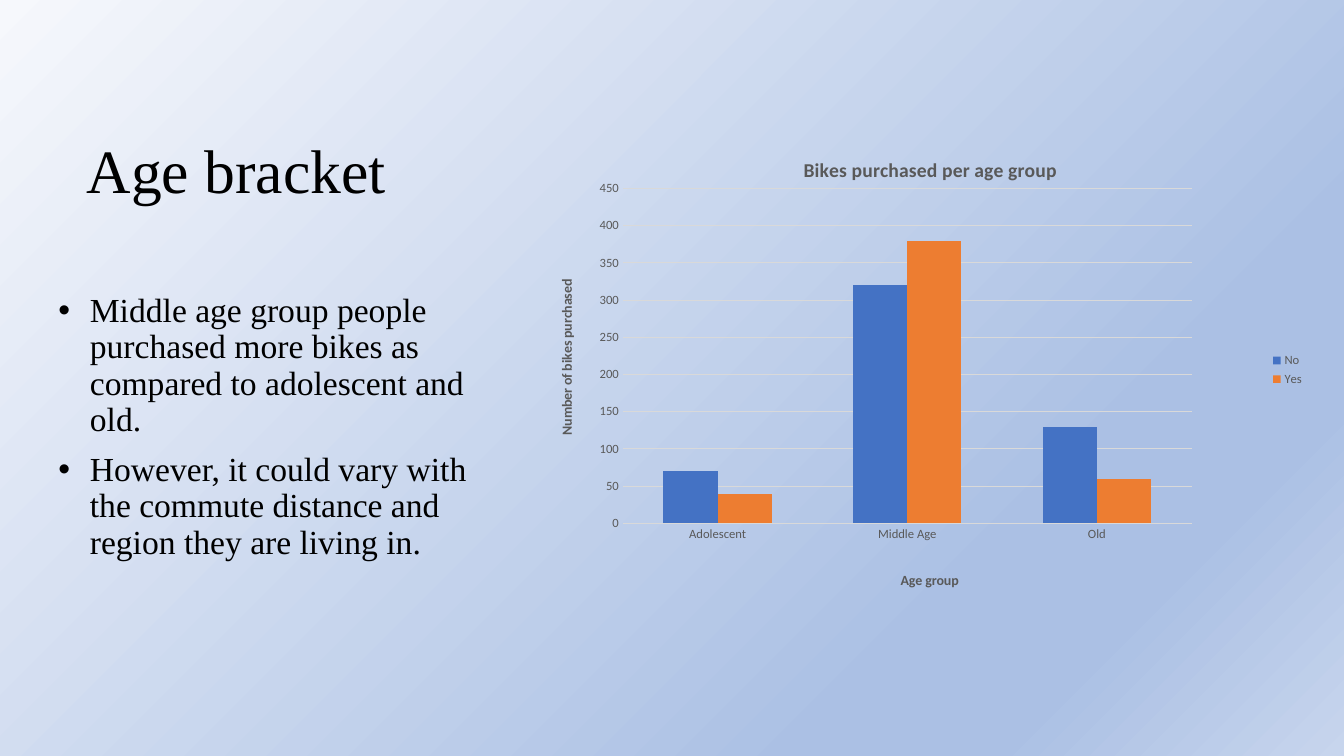
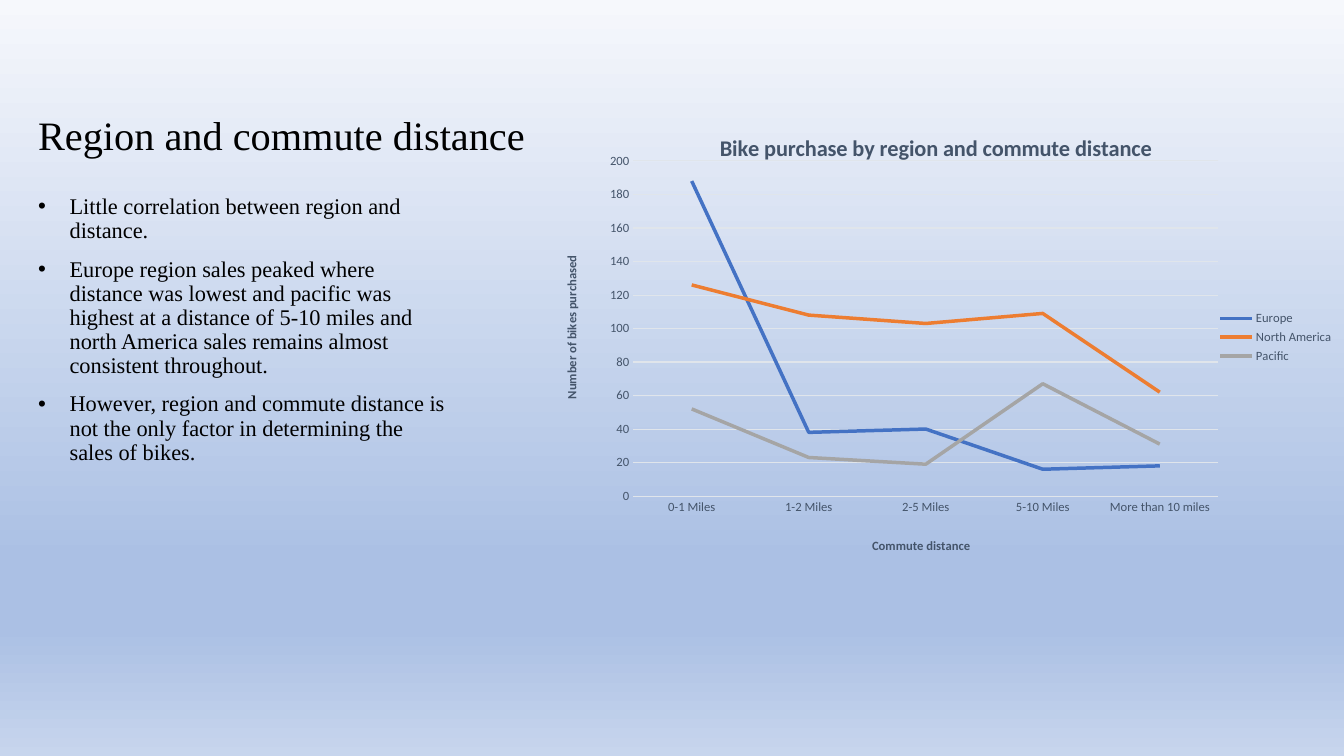
from lxml import etree
from pptx import Presentation
from pptx.chart.data import CategoryChartData
from pptx.dml.color import RGBColor
from pptx.enum.chart import XL_CHART_TYPE, XL_LEGEND_POSITION, XL_MARKER_STYLE, XL_TICK_MARK
from pptx.enum.text import MSO_ANCHOR, MSO_AUTO_SIZE, PP_ALIGN
from pptx.oxml.ns import qn
from pptx.util import Pt

COLUMN, LINE = XL_CHART_TYPE.COLUMN_CLUSTERED, XL_CHART_TYPE.LINE
LEGEND_RIGHT = XL_LEGEND_POSITION.RIGHT
NO_MARKER = XL_MARKER_STYLE.NONE
NO_TICK = XL_TICK_MARK.NONE
ANCHOR_TOP, ANCHOR_BOTTOM = MSO_ANCHOR.TOP, MSO_ANCHOR.BOTTOM
FIXED_SIZE = MSO_AUTO_SIZE.NONE
LEFT = PP_ALIGN.LEFT

BLACK = RGBColor(0x00, 0x00, 0x00)
GRAY = RGBColor(0x59, 0x59, 0x59)
SLATE = RGBColor(0x44, 0x54, 0x6A)
GRID_GRAY = RGBColor(0xD9, 0xD9, 0xD9)
GRID_BLUE = RGBColor(0xE0, 0xE5, 0xEB)
SERIES_COLORS = (
    RGBColor(0x44, 0x72, 0xC4),
    RGBColor(0xED, 0x7D, 0x31),
    RGBColor(0xA5, 0xA5, 0xA5),
)
BACKGROUND_STOPS = (
    (0, RGBColor(0xF6, 0xF8, 0xFC)),
    (74, RGBColor(0xAB, 0xC0, 0xE4)),
    (83, RGBColor(0xAB, 0xC0, 0xE4)),
    (100, RGBColor(0xC7, 0xD5, 0xED)),
)
TEXT_FONT, CHART_FONT = "Times New Roman", "Calibri"
BULLET_INDENT = Pt(22.5)


def set_font(font, size, color, name, bold=False):
    font.size, font.name, font.bold = Pt(size), name, bold
    font.color.rgb = color


def write_text(paragraph, text, size, color=BLACK, font=TEXT_FONT, bold=False,
               alignment=None, line_spacing=None, space_before=None, bullet=None):
    run = paragraph.add_run()
    run.text = text
    set_font(run.font, size, color, font, bold)
    if alignment is not None:
        paragraph.alignment = alignment
    if line_spacing is not None:
        paragraph.line_spacing = line_spacing
    if space_before is not None:
        paragraph.space_before = Pt(space_before)
    if bullet:
        properties = paragraph._p.get_or_add_pPr()
        properties.set("marL", str(BULLET_INDENT))
        properties.set("indent", str(-BULLET_INDENT))
        etree.SubElement(properties, qn("a:buChar"), char=bullet)


def set_layout(parent, index, fractions, inner=False):
    """Give a chart part a manual place, as fractions of the chart."""
    for old_layout in parent.findall(qn("c:layout")):
        parent.remove(old_layout)
    layout = etree.Element(qn("c:layout"))
    manual = etree.SubElement(layout, qn("c:manualLayout"))
    if inner:
        etree.SubElement(manual, qn("c:layoutTarget"), val="inner")
    for name in ("xMode", "yMode"):
        etree.SubElement(manual, qn(f"c:{name}"), val="edge")
    for name, fraction in zip("xywh", fractions):
        etree.SubElement(manual, qn(f"c:{name}"), val=str(fraction))
    parent.insert(index, layout)


class Deck:
    """Shared style and the slide being built."""

    def __init__(self):
        self.presentation = Presentation()
        self.presentation.slide_width = Pt(960)
        self.presentation.slide_height = Pt(540)
        self.slide = None

    def add_slide(self, angle):
        layout = self.presentation.slide_layouts[1]
        self.slide = self.presentation.slides.add_slide(layout)
        fill = self.slide.background.fill
        fill.gradient()
        fill.gradient_angle = 360 - angle
        stops = self.slide._element.find(".//" + qn("a:gsLst"))
        for stop in list(stops):
            stops.remove(stop)
        for percent, color in BACKGROUND_STOPS:
            stop = etree.SubElement(stops, qn("a:gs"), pos=str(percent * 1000))
            etree.SubElement(stop, qn("a:srgbClr"), val=str(color))

    def place(self, shape, box, anchor):
        shape.left, shape.top, shape.width, shape.height = map(Pt, box)
        text_frame = shape.text_frame
        text_frame.word_wrap = True
        text_frame.auto_size = FIXED_SIZE
        text_frame.vertical_anchor = anchor
        return text_frame

    def title(self, text, box, size):
        text_frame = self.place(self.slide.shapes.title, box, ANCHOR_BOTTOM)
        write_text(text_frame.paragraphs[0], text, size,
                   alignment=LEFT, line_spacing=0.9, space_before=0)

    def bullets(self, items, box, size):
        text_frame = self.place(self.slide.placeholders[1], box, ANCHOR_TOP)
        for number, item in enumerate(items):
            paragraph = text_frame.add_paragraph() if number else text_frame.paragraphs[0]
            write_text(paragraph, item, size, alignment=LEFT,
                       line_spacing=0.9, space_before=10, bullet="•")

    def chart(self, kind, box, categories, series, titles, title_places, plot_box,
              title_size, axis_title_size, color, grid_color, maximum, step):
        data = CategoryChartData()
        data.categories = categories
        for name, values in series.items():
            data.add_series(name, values)
        chart = self.slide.shapes.add_chart(kind, *map(Pt, box), data).chart
        set_font(chart.font, 10, BLACK, CHART_FONT)

        # Series
        plot = chart.plots[0]
        plot.vary_by_categories = False
        if kind == COLUMN:
            plot.gap_width, plot.overlap = 150, 0
        for item, series_color in zip(plot.series, SERIES_COLORS):
            if kind == LINE:
                item.smooth = False
                item.marker.style = NO_MARKER
                item.format.line.width = Pt(2.5)
                item.format.line.color.rgb = series_color
            else:
                item.format.fill.solid()
                item.format.fill.fore_color.rgb = series_color

        # Axes and legend
        category_axis, value_axis = chart.category_axis, chart.value_axis
        for axis in (category_axis, value_axis):
            axis.major_tick_mark = axis.minor_tick_mark = NO_TICK
            set_font(axis.tick_labels.font, 9, color, CHART_FONT)
            axis.format.line.fill.background()
        if kind == LINE:
            category_axis.format.line.color.rgb = grid_color
            category_axis.format.line.width = Pt(0.75)
        value_axis.minimum_scale, value_axis.maximum_scale = 0, maximum
        value_axis.major_unit = step
        grid_line = value_axis.major_gridlines.format.line
        grid_line.color.rgb, grid_line.width = grid_color, Pt(0.75)
        chart.has_legend = True
        chart.legend.position = LEGEND_RIGHT
        chart.legend.include_in_layout = False
        set_font(chart.legend.font, 9, color, CHART_FONT)

        # Titles and their places, in points from the chart corner
        owners = (chart.chart_title, category_axis.axis_title, value_axis.axis_title)
        sizes = (title_size, axis_title_size, axis_title_size)
        for owner, text, size in zip(owners, titles, sizes):
            write_text(owner.text_frame.paragraphs[0], text, size,
                       color=color, font=CHART_FONT, bold=True)
        width, height = box[2:]
        title_elements = list(chart._chartSpace.iter(qn("c:title")))
        for element, (x, y) in zip(title_elements, title_places):
            set_layout(element, 1, (x / width, y / height))
        body = title_elements[2].find(".//" + qn("a:bodyPr"))
        body.set("rot", "-5400000")
        body.set("vert", "horz")
        plot_area = next(chart._chartSpace.iter(qn("c:plotArea")))
        fractions = [length / side for length, side in zip(plot_box, (width, height) * 2)]
        set_layout(plot_area, 0, fractions, inner=True)


def main():
    deck = Deck()

    # Age groups
    deck.add_slide(angle=45)
    deck.title("Age bracket", (54.7, 70.5, 309.6, 80.5), 44)
    deck.bullets((
        "Middle age group people purchased more bikes as compared to adolescent and old.",
        "However, it could vary with the commute distance and region they are living in.",
    ), (34.5, 206, 309.6, 228), 24)
    deck.chart(
        COLUMN, (384.5, 94.3, 554.4, 339.8),
        ("Adolescent", "Middle Age", "Old"),
        {"No": (70, 320, 130), "Yes": (40, 380, 60)},
        titles=("Bikes purchased per age group", "Age group", "Number of bikes purchased"),
        title_places=((187, 15), (257, 312), (12, 103.5)),
        plot_box=(60.4, 40.4, 406.4, 239.2),
        title_size=14, axis_title_size=10, color=GRAY, grid_color=GRID_GRAY,
        maximum=450, step=50)

    # Regions and distances
    deck.add_slide(angle=90)
    deck.title("Region and commute distance", (20, 77.8, 402, 39.6), 28.8)
    deck.bullets((
        "Little correlation between region and distance.",
        "Europe region sales peaked where distance was lowest and pacific was highest "
        "at a distance of 5-10 miles and north America sales remains almost consistent "
        "throughout.",
        "However, region and commute distance is not the only factor in determining "
        "the sales of bikes.",
    ), (20, 136, 309.6, 202), 16)
    deck.chart(
        LINE, (375.8, 77.8, 584, 326.2),
        ("0-1 Miles", "1-2 Miles", "2-5 Miles", "5-10 Miles", "More than 10 miles"),
        {
            "Europe": (188, 38, 40, 16, 18),
            "North America": (126, 108, 103, 109, 62),
            "Pacific": (52, 23, 19, 67, 31),
        },
        titles=("Bike purchase by region and commute distance", "Commute distance",
                "Number of bikes purchased"),
        title_places=((135.5, 14.5), (245.5, 304.5), (25, 103)),
        plot_box=(76.5, 37.2, 418, 239.4),
        title_size=16, axis_title_size=9, color=SLATE, grid_color=GRID_BLUE,
        maximum=200, step=20)

    deck.presentation.save("out.pptx")


if __name__ == "__main__":
    main()
